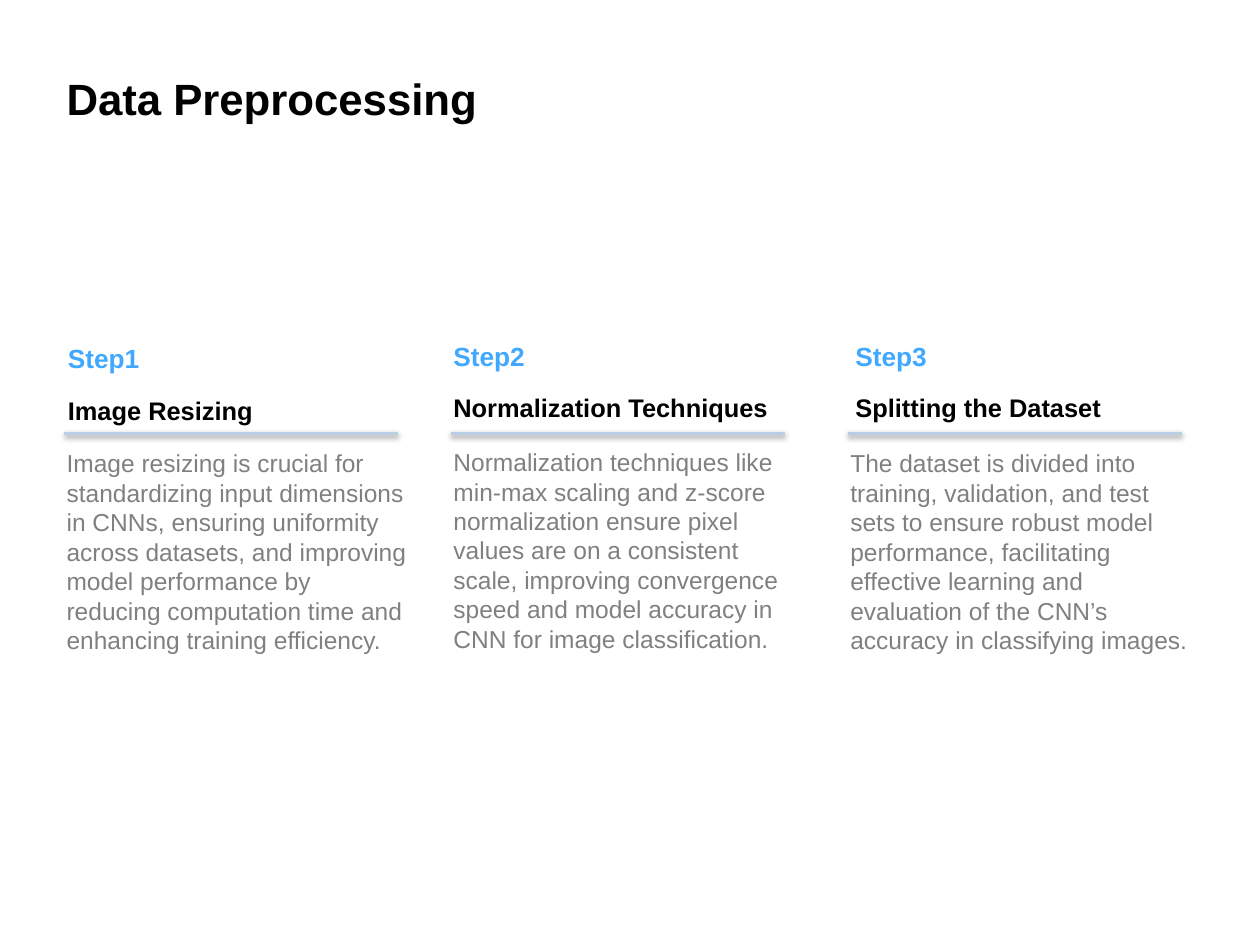
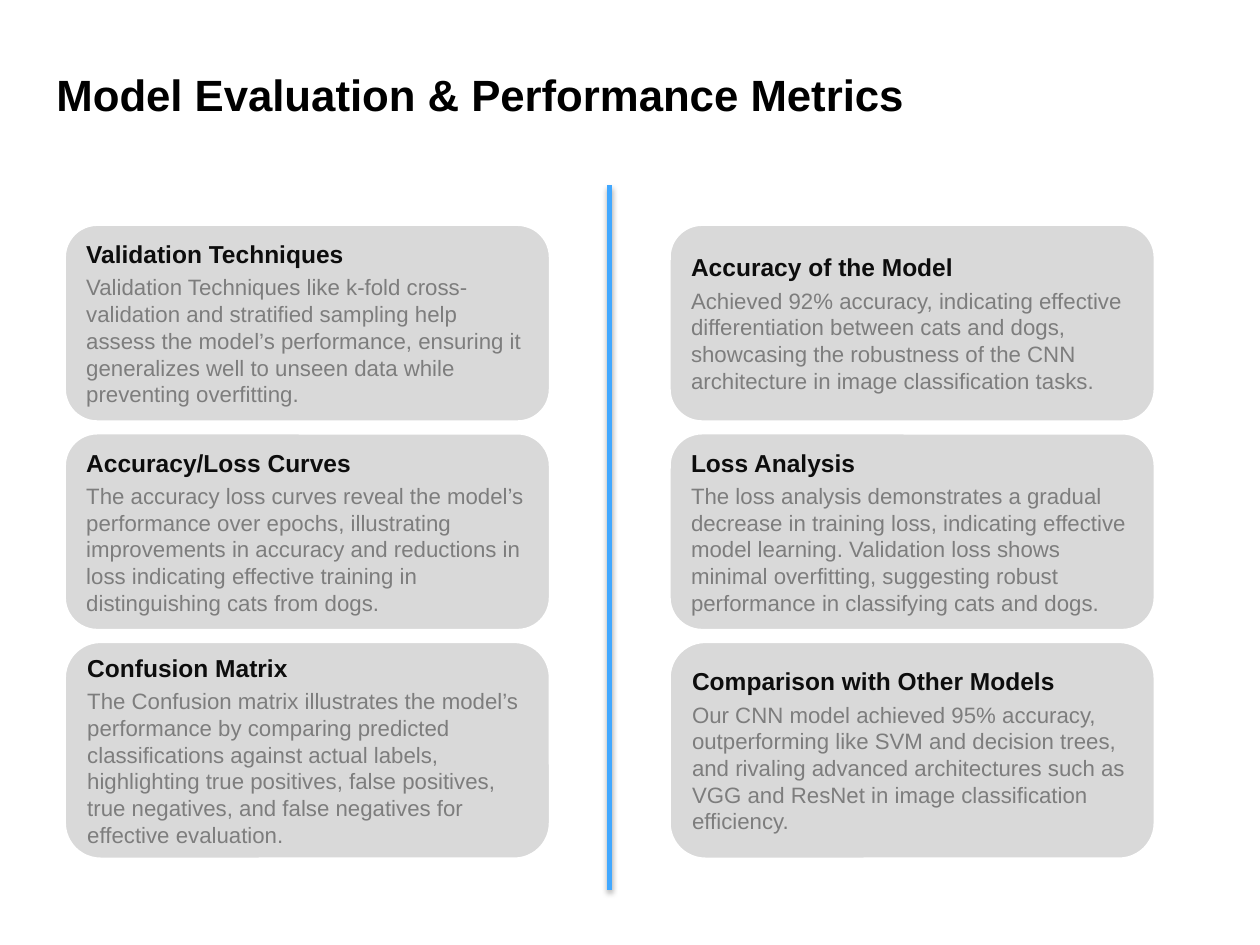
import pptx
import pptx.util
import pptx.dml.color
import pptx.enum.shapes
import pptx.enum.text
import pptx.oxml
import pptx.oxml.ns
import lxml.etree

RGB = pptx.dml.color.RGBColor
Inches, Pt = pptx.util.Inches, pptx.util.Pt
MSO_SHAPE = pptx.enum.shapes.MSO_SHAPE
BLACK = RGB(0x00, 0x00, 0x00)
INK = RGB(0x0D, 0x0D, 0x0D)
BLUE = RGB(0x41, 0xA8, 0xFF)
PALE_BLUE = RGB(0xB9, 0xCD, 0xE5)
GREY = RGB(0x80, 0x80, 0x80)
CARD_GREY = RGB(0x7D, 0x7D, 0x7D)
CARD_FILL = RGB(0xD9, 0xD9, 0xD9)
WHITE = RGB(0xFF, 0xFF, 0xFF)


def text_style(size, color, bold=False):
    return {"size": Pt(size), "bold": bold, "name": "Arial"}, color


TITLE = text_style(25, BLACK, True)
STEP_LABEL = text_style(15, BLUE, True)
STEP_NAME = text_style(14.5, BLACK, True)
STEP_BODY = text_style(14, GREY)
CARD_NAME = text_style(14, INK, True)
CARD_BODY = text_style(12.7, CARD_GREY)

# Step columns: rule left, heading indent from body, heading top, body top
STEP_COLUMNS = [(0.51, 0.01, 2.67, 3.51), (3.58, 0, 2.65, 3.5), (6.73, 0.04, 2.65, 3.51)]
RULE_TOP, RULE_WIDTH = 3.44, 2.65
STEPS = [
    ("Image Resizing",
     "Image resizing is crucial for standardizing input dimensions in CNNs, ensuring "
     "uniformity across datasets, and improving model performance by reducing "
     "computation time and enhancing training efficiency."),
    ("Normalization Techniques",
     "Normalization techniques like min-max scaling and z-score normalization ensure "
     "pixel values are on a consistent scale, improving convergence speed and model "
     "accuracy in CNN for image classification."),
    ("Splitting the Dataset",
     "The dataset is divided into training, validation, and test sets to ensure robust "
     "model performance, facilitating effective learning and evaluation of the CNN’s "
     "accuracy in classifying images."),
]

# Card grid: two columns of three cards, the last row a little taller
GRID_LEFT, GRID_TOP = 0.51, 1.78
COLUMN_STEP, ROW_STEP = 4.8, 1.655
CARD_WIDTH, CARD_HEIGHTS = 3.86, (1.57, 1.57, 1.73)
# Each card: name, body, space above the name
CARD_GRID = [
    [("Validation Techniques",
      "Validation Techniques like k-fold cross-validation and stratified sampling help "
      "assess the model’s performance, ensuring it generalizes well to unseen data while "
      "preventing overfitting.", 0),
     ("Accuracy/Loss Curves",
      "The accuracy loss curves reveal the model’s performance over epochs, illustrating "
      "improvements in accuracy and reductions in loss indicating effective training in "
      "distinguishing cats from dogs.", 0),
     ("Confusion Matrix",
      "The Confusion matrix illustrates the model’s performance by comparing predicted "
      "classifications against actual labels, highlighting true positives, false "
      "positives, true negatives, and false negatives for effective evaluation.", 3)],
    [("Accuracy of the Model",
      "Achieved 92% accuracy, indicating effective differentiation between cats and dogs, "
      "showcasing the robustness of the CNN architecture in image classification tasks.", 0),
     ("Loss Analysis",
      "The loss analysis demonstrates a gradual decrease in training loss, indicating "
      "effective model learning. Validation loss shows minimal overfitting, suggesting "
      "robust performance in classifying cats and dogs.", 0),
     ("Comparison with Other Models",
      "Our CNN model achieved 95% accuracy, outperforming like SVM and decision trees, "
      "and rivaling advanced architectures such as VGG and ResNet in image "
      "classification efficiency.", 0)],
]


def write_paragraphs(frame, entries):
    """Each entry is (text, style, space before in points)."""
    for index, (text, (font_values, color), space) in enumerate(entries):
        paragraph = frame.add_paragraph() if index else frame.paragraphs[0]
        paragraph.alignment = pptx.enum.text.PP_ALIGN.LEFT
        paragraph.space_before = Pt(space)
        run = paragraph.add_run()
        run.text = text
        for key, value in font_values.items():
            setattr(run.font, key, value)
        run.font.color.rgb = color


def add_text(slide, left, top, width, height, entries, wrap=True):
    box = slide.shapes.add_textbox(*map(Inches, (left, top, width, height)))
    box.text_frame.word_wrap = wrap
    box.text_frame.auto_size = pptx.enum.text.MSO_AUTO_SIZE.SHAPE_TO_FIT_TEXT
    write_paragraphs(box.text_frame, entries)


def add_title(slide, text, left, top, width):
    add_text(slide, left, top, width, 0.52, [(text, TITLE, 0)], wrap=False)


def add_shadowed_line(slide, start, end, color, weight, distance, opacity):
    line = slide.shapes.add_connector(
        pptx.enum.shapes.MSO_CONNECTOR.STRAIGHT, *map(Inches, (*start, *end)))
    line.line.color.rgb = color
    line.line.width = Pt(weight)
    qn = pptx.oxml.ns.qn
    effects = lxml.etree.SubElement(line._element.spPr, qn("a:effectLst"))
    shadow = lxml.etree.SubElement(
        effects, qn("a:outerShdw"), blurRad=str(Pt(3.1)), dist=str(Pt(distance)),
        dir="5400000", rotWithShape="0")
    tint = lxml.etree.SubElement(shadow, qn("a:srgbClr"), val="000000")
    lxml.etree.SubElement(tint, qn("a:alpha"), val=str(opacity * 1000))


def add_step(slide, number, name, body, column):
    rule_left, indent, heading_top, body_top = column
    text_left = rule_left - 0.08
    add_text(slide, text_left + indent, heading_top, 2.72, 0.77,
             [(f"Step{number}", STEP_LABEL, 0), (name, STEP_NAME, 12)])
    add_shadowed_line(slide, (rule_left, RULE_TOP), (rule_left + RULE_WIDTH, RULE_TOP),
                      PALE_BLUE, 2, 1.6, 38)
    add_text(slide, text_left, body_top, 2.91, 1.75, [(body, STEP_BODY, 0)])


def add_card(slide, column, row, name, body, name_space):
    card = slide.shapes.add_shape(
        MSO_SHAPE.ROUNDED_RECTANGLE,
        Inches(GRID_LEFT + column * COLUMN_STEP), Inches(GRID_TOP + row * ROW_STEP),
        Inches(CARD_WIDTH), Inches(CARD_HEIGHTS[row]))
    card.shadow.inherit = False
    card.fill.solid()
    card.fill.fore_color.rgb = CARD_FILL
    card.line.color.rgb = WHITE
    card.line.width = Pt(2)
    card.text_frame.word_wrap = True
    card.text_frame.vertical_anchor = pptx.enum.text.MSO_ANCHOR.MIDDLE
    write_paragraphs(card.text_frame, [(name, CARD_NAME, name_space), (body, CARD_BODY, 3)])


def main():
    deck = pptx.Presentation()
    deck.slide_width, deck.slide_height = Inches(10), Inches(7.5)
    blank = deck.slide_layouts[6]

    # Preprocessing steps
    preprocessing = deck.slides.add_slide(blank)
    add_title(preprocessing, "Data Preprocessing", 0.43, 0.52, 3.46)
    for number, ((name, body), column) in enumerate(zip(STEPS, STEP_COLUMNS), 1):
        add_step(preprocessing, number, name, body, column)

    # Evaluation cards on both sides of a divider
    evaluation = deck.slides.add_slide(blank)
    add_title(evaluation, "Model Evaluation & Performance Metrics", 0.35, 0.49, 7.17)
    for column, cards in enumerate(CARD_GRID):
        for row, card in enumerate(cards):
            add_card(evaluation, column, row, *card)
    add_shadowed_line(evaluation, (4.84, 1.47), (4.84, 7.06), BLUE, 3, 1.8, 35)

    deck.save("out.pptx")


if __name__ == "__main__":
    main()
